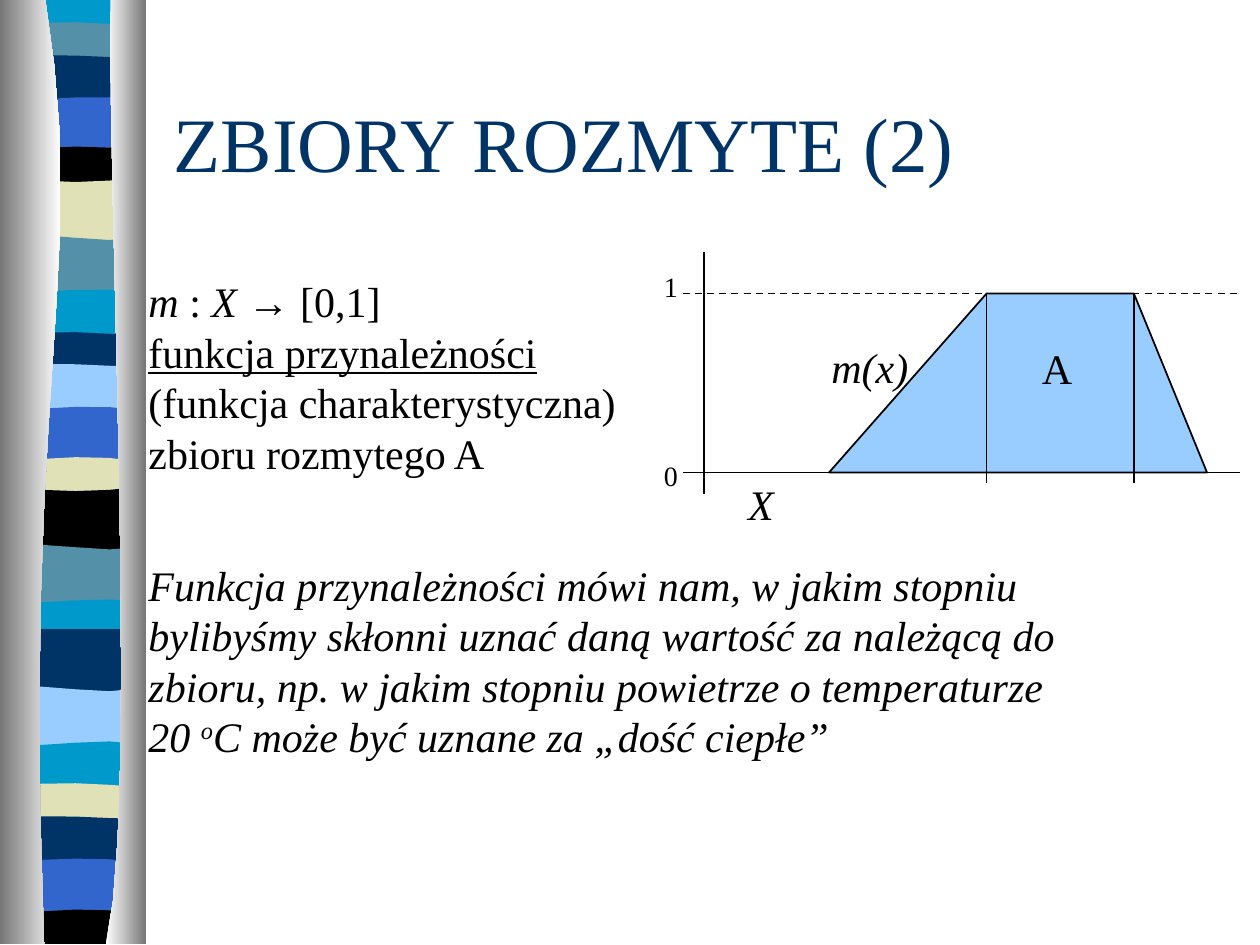
from lxml.etree import SubElement
from pptx import Presentation
from pptx.dml.color import RGBColor
from pptx.enum.dml import MSO_LINE
from pptx.enum.shapes import MSO_CONNECTOR
from pptx.enum.text import MSO_ANCHOR, MSO_AUTO_SIZE, PP_ALIGN
from pptx.oxml.ns import qn
from pptx.util import Cm, Pt

BLACK = RGBColor(0x00, 0x00, 0x00)
WHITE = RGBColor(0xFF, 0xFF, 0xFF)
GREY = RGBColor(0x76, 0x76, 0x76)
NAVY = RGBColor(0x00, 0x33, 0x66)
BLUE = RGBColor(0x33, 0x66, 0xCC)
CYAN = RGBColor(0x00, 0x99, 0xCC)
TEAL = RGBColor(0x54, 0x90, 0xA8)
SKY = RGBColor(0x99, 0xCC, 0xFF)
SAND = RGBColor(0xE1, 0xE1, 0xB7)
SERIF = "Times New Roman"
SYMBOL = "Arial"

TITLE = "ZBIORY ROZMYTE (2)"
ITALIC = {"italic": True}

TEXTS = [
    (5.17, 2.09, 0.31, 0.37, 16, False, [[("1", {})]]),
    (5.17, 3.59, 0.31, 0.37, 16, False, [[("0", {})]]),
    (1.08, 2.14, 4.08, 1.7, 24, True, [
        [("m ", ITALIC), (": ", {}), ("X ", ITALIC),
         ("→", {"name": SYMBOL}), (" [0,1]", {})],
        [("funkcja przynależności", {"underline": True}),
         (" (funkcja charakterystyczna) zbioru rozmytego A", {})],
    ]),
    (6.5, 2.66, 0.81, 0.5, 24, False, [[("m(x)", ITALIC)]]),
    (8.17, 2.67, 0.44, 0.5, 24, False, [[("A", {})]]),
    (5.84, 3.75, 0.4, 0.5, 24, False, [[("X", ITALIC)]]),
    (1.08, 4.39, 7.58, 1.7, 24, True, [
        [("Funkcja przynależności mówi nam, w jakim stopniu bylibyśmy skłonni "
          "uznać daną wartość za należącą do zbioru, np. w jakim stopniu "
          "powietrze o temperaturze 20 ", ITALIC),
         ("o", {"italic": True, "raised": True}),
         ("C może być uznane za „dość ciepłe”", ITALIC)],
    ]),
]

TOP, BOTTOM = 0, 7.49
RIBBON_LEFT, RIBBON_RIGHT = 0.06, 1.14
RIBBON = [
    (CYAN, (TOP,) * 4),
    (TEAL, (0.21, 0.15, 0.18, 0.21)),
    (NAVY, (0.46, 0.41, 0.46, 0.46)),
    (BLUE, (0.8, 0.79, 0.74, 0.8)),
    (BLACK, (1.21, 1.15, 1.15, 1.2)),
    (SAND, (1.4, 1.46, 1.46, 1.4)),
    (TEAL, (1.88, 1.82, 1.96, 1.88)),
    (CYAN, (2.32, 2.32, 2.27, 2.32)),
    (NAVY, (2.67, 2.61, 2.64, 2.67)),
    (SKY, (2.91, 2.86, 2.91, 2.91)),
    (BLUE, (3.26, 3.24, 3.2, 3.26)),
    (SAND, (3.67, 3.63, 3.6, 3.67)),
    (BLACK, (3.86, 3.91, 3.91, 3.86)),
    (TEAL, (4.34, 4.28, 4.41, 4.34)),
    (CYAN, (4.78, 4.8, 4.72, 4.78)),
    (NAVY, (4.99,) * 4),
    (SKY, (5.46, 5.41, 5.54, 5.46)),
    (CYAN, (5.91, 5.94, 5.84, 5.91)),
    (SAND, (6.25, 6.19, 6.22, 6.25)),
    (NAVY, (6.5, 6.45, 6.5, 6.5)),
    (BLUE, (6.84, 6.82, 6.79, 6.85)),
    (BLACK, (7.26, 7.22, 7.19, 7.26)),
]
CURTAINS = [
    (0, (0.36, 0.71, 0.17, 0.35), (TOP, 2.16, 2.96, BOTTOM), (GREY, WHITE)),
    (1.16, (0.88, 0.84, 1.11, 0.84), (TOP, 1.25, 6.46, BOTTOM), (WHITE, GREY)),
]

AXIS_LEFT, AXIS_RIGHT, ZERO, ONE = 5.42, 9.84, 3.75, 2.33
CORE_LEFT, CORE_RIGHT = 7.83, 9
FUZZY_SET = [(6.58, ZERO), (CORE_LEFT, ONE), (CORE_RIGHT, ONE), (9.58, ZERO)]
AXES = [
    (AXIS_LEFT, ZERO, AXIS_RIGHT, ZERO, None),
    (5.59, 3.92, 5.59, 2, None),
    (AXIS_LEFT, ONE, AXIS_RIGHT, ONE, MSO_LINE.DASH),
]
CORE_EDGES = [(x, ONE, x, 3.83, None) for x in (CORE_LEFT, CORE_RIGHT)]


def inches(value):
    return Cm(value * 2.54)


def bezier(controls, t):
    a, b, c, d = controls
    s = 1 - t
    return a * s**3 + 3 * b * s * s * t + 3 * c * s * t * t + d * t**3


def curve(xs, ys, steps):
    return [(bezier(xs, i / steps), bezier(ys, i / steps))
            for i in range(steps + 1)]


def add_outline(slide, points):
    corners = [(inches(x), inches(y)) for x, y in points]
    builder = slide.shapes.build_freeform(*corners[0])
    builder.add_line_segments(corners[1:], close=True)
    outline = builder.convert_to_shape()
    outline.shadow.inherit = False
    outline.line.fill.background()
    return outline


def add_ribbon(slide):
    width = RIBBON_RIGHT - RIBBON_LEFT
    xs = [RIBBON_LEFT + width * i / 3 for i in range(4)]
    floors = [max(edge) for _, edge in RIBBON[1:]] + [BOTTOM]
    for (color, edge), floor in zip(RIBBON, floors):
        steps = 4 if len(set(edge)) > 1 else 1
        band = add_outline(slide, curve(xs, edge, steps) + [
            (RIBBON_RIGHT, floor), (RIBBON_LEFT, floor)])
        band.fill.solid()
        band.fill.fore_color.rgb = color


def add_curtains(slide):
    for outer, xs, ys, colors in CURTAINS:
        curtain = add_outline(
            slide, curve(xs, ys, 12) + [(outer, BOTTOM), (outer, TOP)])
        curtain.fill.gradient()
        curtain.fill.gradient_angle = 0
        for stop, color in zip(curtain.fill.gradient_stops, colors):
            stop.color.rgb = color


def add_lines(slide, segments):
    for x1, y1, x2, y2, dash in segments:
        segment = slide.shapes.add_connector(
            MSO_CONNECTOR.STRAIGHT, *map(inches, (x1, y1, x2, y2)))
        segment.line.color.rgb = BLACK
        segment.line.width = Pt(1)
        if dash:
            segment.line.dash_style = dash
        SubElement(segment._element.spPr, qn("a:effectLst"))


def add_run(paragraph, text, size, color, style):
    run = paragraph.add_run()
    run.text = text
    run.font.size = Pt(size)
    run.font.name = style.get("name", SERIF)
    run.font.color.rgb = color
    run.font.italic = style.get("italic", False)
    run.font.underline = style.get("underline", False)
    if style.get("raised"):
        run._r.get_or_add_rPr().set("baseline", "30000")


def add_texts(slide):
    for left, top, width, height, size, wrap, paragraphs in TEXTS:
        frame = slide.shapes.add_textbox(
            *map(inches, (left, top, width, height))).text_frame
        frame.word_wrap = wrap
        frame.auto_size = MSO_AUTO_SIZE.SHAPE_TO_FIT_TEXT
        for i, runs in enumerate(paragraphs):
            paragraph = frame.add_paragraph() if i else frame.paragraphs[0]
            for text, style in runs:
                add_run(paragraph, text, size, BLACK, style)


def add_title(slide):
    title = slide.shapes.title
    title.left, title.top, title.width, title.height = map(
        inches, (1.28, 0.5, 8.5, 1.25))
    title.text_frame.vertical_anchor = MSO_ANCHOR.MIDDLE
    paragraph = title.text_frame.paragraphs[0]
    paragraph.alignment = PP_ALIGN.LEFT
    add_run(paragraph, TITLE, 44, NAVY, {})


def main():
    deck = Presentation()
    deck.slide_width, deck.slide_height = inches(10), inches(7.5)
    slide = deck.slides.add_slide(deck.slide_layouts[5])
    add_ribbon(slide)
    add_curtains(slide)
    add_lines(slide, AXES)
    fuzzy_set = add_outline(slide, FUZZY_SET)
    fuzzy_set.fill.solid()
    fuzzy_set.fill.fore_color.rgb = SKY
    fuzzy_set.line.color.rgb = BLACK
    fuzzy_set.line.width = Pt(1)
    add_lines(slide, CORE_EDGES)
    add_texts(slide)
    add_title(slide)
    deck.save("out.pptx")


if __name__ == "__main__":
    main()
